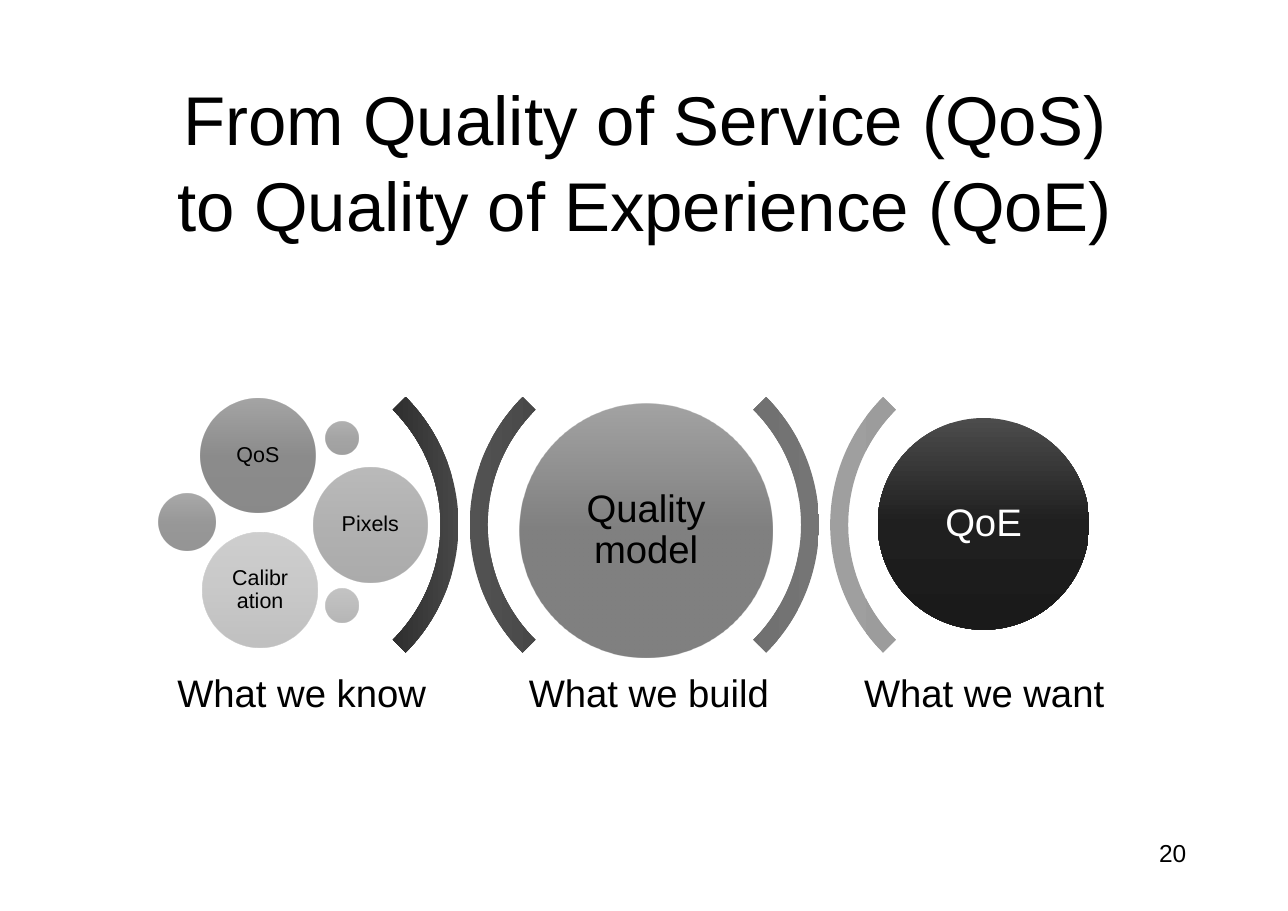
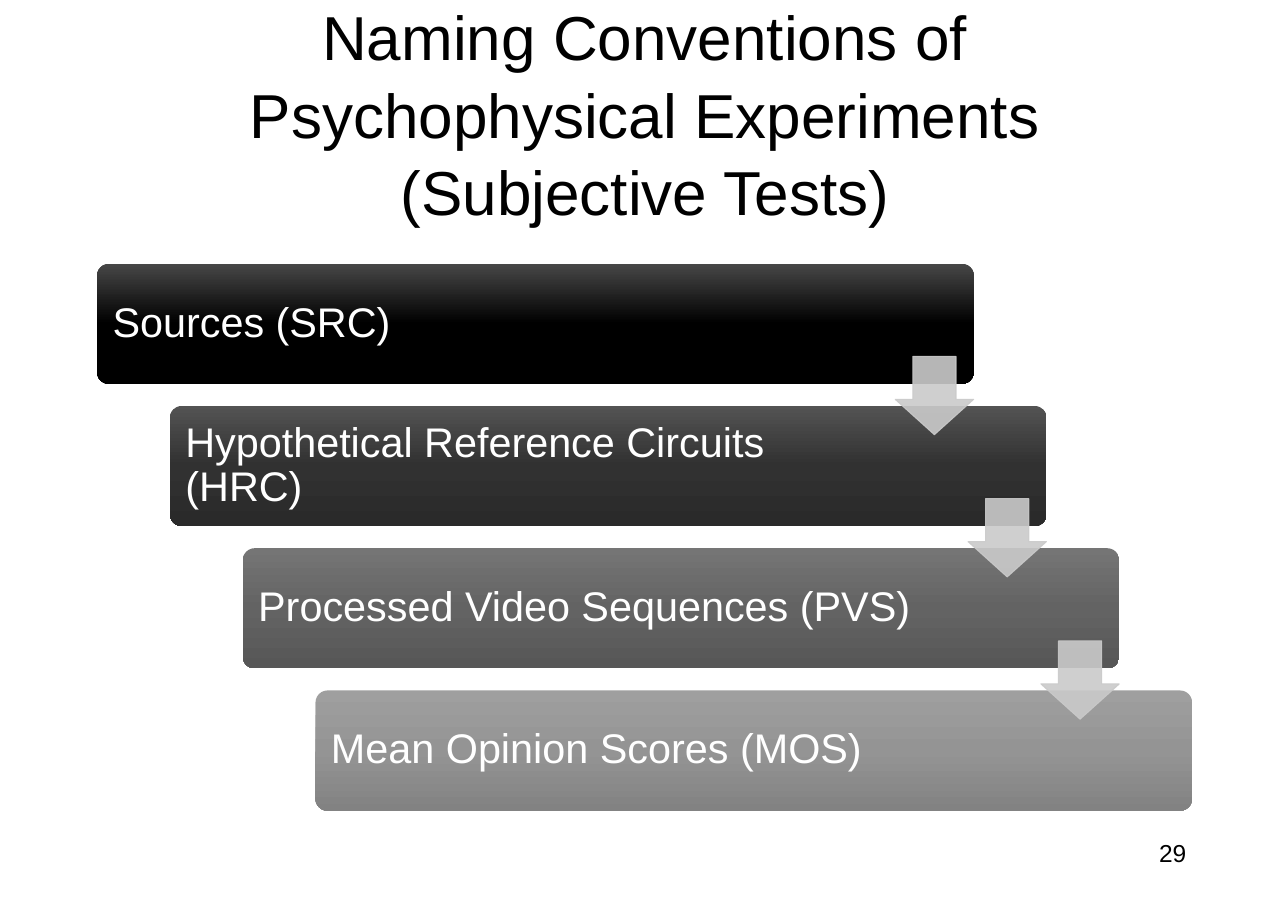
from pptx import Presentation
from pptx.dml.color import RGBColor
from pptx.enum.shapes import MSO_SHAPE
from pptx.enum.text import MSO_ANCHOR, PP_ALIGN
from pptx.oxml import parse_xml
from pptx.oxml.ns import nsdecls, qn
from pptx.util import Pt

# Shared style
FONT, BLACK, WHITE, SILVER = "Arial", "000000", "FFFFFF", "CACACA"
LEFT, PAD = 63.4, 4.5
NIGHT = ("474747", "000000", "000000")
DARK = ("535353", "313131", "2A2A2A")
MID = ("757575", "636363", "575757")
LIGHT = ("9F9F9F", "949494", "828282")
COAL = ("4A4A4A", "181818", "141414")
SLATE = ("636363", "4A4A4A", "414141")
ASH = ("8A8A8A", "7C7C7C", "6C6C6C")
INK = ("4C4C4C", "1F1F1F", "1A1A1A")

# Quality slide: circles as (text, centre x, centre y, diameter, greys, format)
BIG, SMALL = {"size": 25}, {"size": 14, "pad": (PAD,) * 4}
CIRCLES = [
    ("Quality model", 421.9, 346.3, 165.6, NIGHT, BIG),
    ("QoS", 168.5, 297.4, 74.9, COAL, SMALL),
    ("", 122, 340.9, 36.7, DARK, SMALL),
    ("", 223.2, 285.8, 21.6, SLATE, SMALL),
    ("Pixels", 241.9, 342.7, 74.9, MID, SMALL),
    ("", 223.2, 395.3, 21.6, ASH, SMALL),
    ("Calibration", 169.9, 385.2, 74.9, LIGHT, SMALL),
    ("QoE", 642.2, 342, 138.2, INK, {"size": 25, "color": WHITE}),
]
CAPTIONS = [("What we know", 197), ("What we build", 423.7),
            ("What we want", 642.6)]
ARCS = [(NIGHT, DARK), (MID, LIGHT)]  # closing and opening arc of each gap

# Naming slide: steps from top to bottom
STEPS = [
    ("Sources (SRC)", NIGHT),
    ("Hypothetical Reference Circuits (HRC)", DARK),
    ("Processed Video Sequences (PVS)", MID),
    ("Mean Opinion Scores (MOS)", LIGHT),
]


def rgb(code):
    return RGBColor.from_string(code)


def write(shape, text, size=25, color=BLACK, align=PP_ALIGN.CENTER,
          anchor=MSO_ANCHOR.MIDDLE, space=0.9, pad=(7.2,) * 4):
    frame = shape.text_frame
    frame.word_wrap = True
    frame.vertical_anchor = anchor
    (frame.margin_left, frame.margin_top,
     frame.margin_right, frame.margin_bottom) = map(Pt, pad)
    para = frame.paragraphs[0]
    para.text = text
    para.alignment = align
    para.line_spacing = space
    for run in para.runs:
        run.font.name = FONT
        run.font.size = Pt(size)
        run.font.color.rgb = rgb(color)


def label(slide, text, x, y, w, h, **style):
    write(slide.shapes.add_textbox(Pt(x), Pt(y), Pt(w), Pt(h)), text, **style)


def draw(slide, kind, x, y, w, h, adjust=()):
    shape = slide.shapes.add_shape(kind, Pt(x), Pt(y), Pt(w), Pt(h))
    shape.shadow.inherit = False
    for i, value in enumerate(adjust):
        shape.adjustments[i] = value
    return shape


def shade(shape, greys, alpha=100):
    """Fill from top to bottom with three greys and drop the outline."""
    stops = "".join(
        f'<a:gs pos="{i * 50000}"><a:srgbClr val="{grey}">'
        f'<a:alpha val="{alpha * 1000}"/></a:srgbClr></a:gs>'
        for i, grey in enumerate(greys))
    grad = parse_xml(
        f'<a:gradFill {nsdecls("a")} rotWithShape="1"><a:gsLst>{stops}'
        '</a:gsLst><a:lin ang="5400000" scaled="0"/></a:gradFill>')
    shape.element.spPr.find(qn("a:prstGeom")).addnext(grad)
    shape.line.fill.background()


def start(deck, title, number, **style):
    """Add a slide with its title and page number."""
    slide = deck.slides.add_slide(deck.slide_layouts[6])
    label(slide, title, LEFT, 54, 715.5, 99.5, pad=(PAD,) * 4, space=1.04,
          **style)
    label(slide, number, 751.7, 542.9, 27.4, 25.9, size=16, space=1,
          align=PP_ALIGN.RIGHT, anchor=MSO_ANCHOR.TOP, pad=(PAD,) * 4)
    return slide


def quality(deck):
    slide = start(deck, "From Quality of Service (QoS)\v"
                  "to Quality of Experience (QoE)", "20", size=45)
    # Arcs between the three stages
    side, gap = 236, 243.3
    for i, pair in enumerate(ARCS):
        for j, greys in enumerate(pair):
            arc = draw(slide, MSO_SHAPE.BLOCK_ARC, LEFT + 235.4 * i + gap * j,
                       224.6, side, side, (135, 189, 0.05))
            arc.rotation = 90 + 180 * j
            shade(arc, greys)
    # Circles
    for text, x, y, size, greys, style in CIRCLES:
        ball = draw(slide, MSO_SHAPE.OVAL, x - size / 2, y - size / 2,
                    size, size)
        shade(ball, greys, 100 if greys is INK else 50)
        if text:
            write(ball, text, **style)
    # Captions
    width = 179.3
    for text, x in CAPTIONS:
        label(slide, text, x - width / 2, 429.8, width, 47.5)


def naming(deck):
    slide = start(deck, "Naming Conventions of Psychophysical Experiments "
                  "(Subjective Tests)", "29", size=40.5,
                  anchor=MSO_ANCHOR.BOTTOM)
    dx, dy = 47.54, 92.88
    # Steps
    for i, (text, greys) in enumerate(STEPS):
        bar = draw(slide, MSO_SHAPE.ROUNDED_RECTANGLE, LEFT + dx * i,
                   172.1 + dy * i, 572.4, 78.5, (0.1,))
        shade(bar, greys)
        write(bar, text, size=27, color=WHITE, align=PP_ALIGN.LEFT,
              pad=(7.8, 7.8, 99, 7.8))
    # Arrows from step to step
    for i in range(len(STEPS) - 1):
        arrow = draw(slide, MSO_SHAPE.DOWN_ARROW, 584.6 + dx * i,
                     232.6 + dy * i, 51.1, 51.1, (0.55, 0.45))
        arrow.fill.solid()
        arrow.fill.fore_color.rgb = rgb(SILVER)
        arrow.line.color.rgb = rgb(SILVER)
        arrow.line.width = Pt(0.75)
        for tone in arrow.element.spPr.iter(qn("a:srgbClr")):
            tone.append(parse_xml(f'<a:alpha {nsdecls("a")} val="90000"/>'))


def main():
    deck = Presentation()
    deck.slide_width, deck.slide_height = Pt(841), Pt(594.7)
    quality(deck)
    naming(deck)
    deck.save("out.pptx")


if __name__ == "__main__":
    main()
